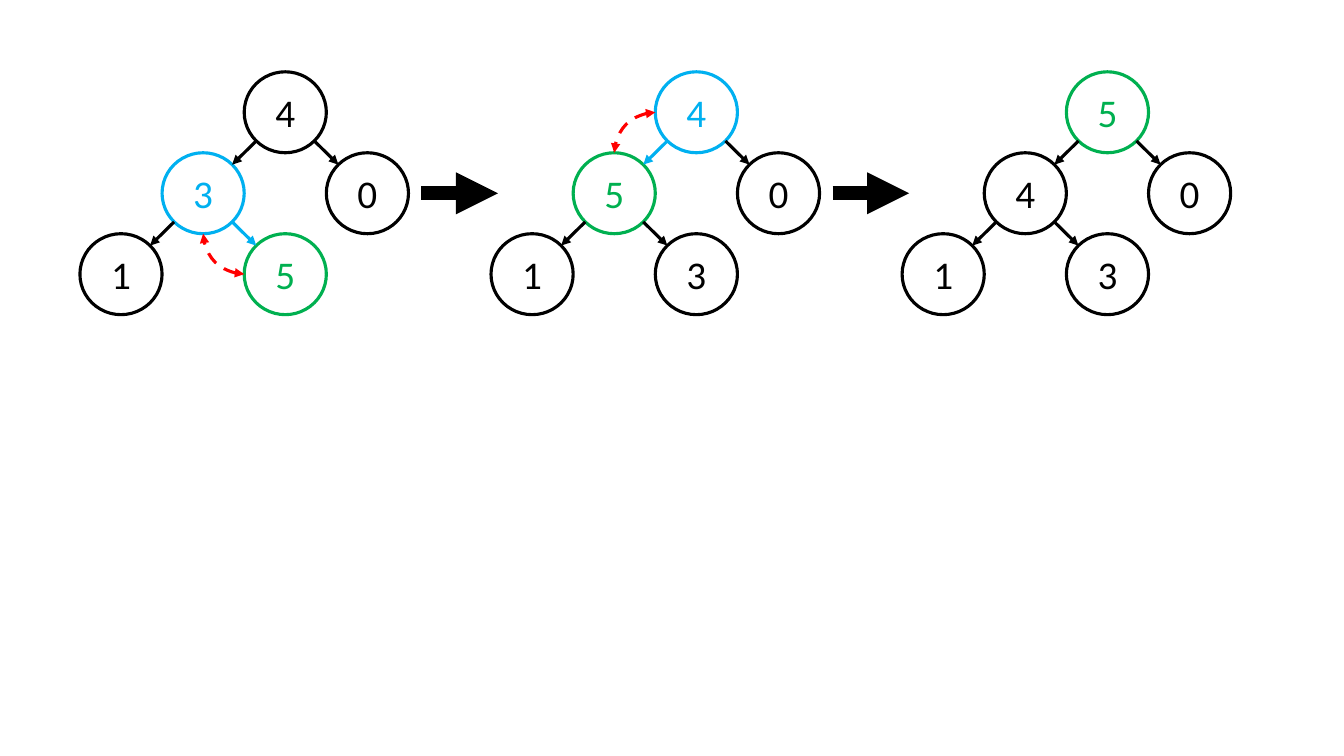
"""Draw three stages of sifting a value up a binary heap."""
from math import sqrt

from lxml import etree
from pptx import Presentation, util as u
from pptx.dml.color import RGBColor
from pptx.enum import dml, shapes, text
from pptx.oxml.ns import qn

BLACK = RGBColor(0x00, 0x00, 0x00)
BLUE = RGBColor(0x00, 0xB0, 0xF0)
GREEN = RGBColor(0x00, 0xB0, 0x50)
RED = RGBColor(0xFF, 0x00, 0x00)

WIDE, HIGH = 2.07, 2.04
LEFT, TOP, PITCH = 7.19, 2.83, 10.36
SPOTS = [(0, 0), (-1, 1), (1, 1), (-2, 2), (0, 2)]
STAGES = [
    ("43015", {1: BLUE, 4: GREEN}),
    ("45013", {0: BLUE, 1: GREEN}),
    ("54013", {0: GREEN}),
]


class Board:
    """Hold the slide and its style, and draw each kind of element."""

    def __init__(self, slide, font="Calibri", size=28, weight=2.25):
        self.shapes = slide.shapes
        self.font, self.size, self.weight = font, size, weight

    def node(self, x, y, label, tint):
        """Draw a labelled circle centred on x, y."""
        oval = self.shapes.add_shape(
            shapes.MSO_SHAPE.OVAL, u.Cm(x - WIDE / 2), u.Cm(y - HIGH / 2),
            u.Cm(WIDE), u.Cm(HIGH))
        oval.shadow.inherit = False
        oval.fill.background()
        oval.line.color.rgb = tint
        oval.line.width = u.Pt(self.weight)
        frame = oval.text_frame
        frame.text = label
        frame.vertical_anchor = text.MSO_ANCHOR.MIDDLE
        par = frame.paragraphs[0]
        par.alignment = text.PP_ALIGN.CENTER
        font = par.runs[0].font
        font.name, font.size = self.font, u.Pt(self.size)
        font.color.rgb = tint

    def arrow(self, start, end, tint=BLACK, weight=None, swap=False):
        """Draw a straight arrow, or a dashed curve with two heads."""
        kind = shapes.MSO_CONNECTOR.CURVE if swap else shapes.MSO_CONNECTOR.STRAIGHT
        link = self.shapes.add_connector(kind, *(u.Cm(v) for v in (*start, *end)))
        link.line.color.rgb = tint
        link.line.width = u.Pt(weight or self.weight)
        props = link.element.spPr
        ends = ["a:tailEnd"]
        if swap:
            link.line.dash_style = dml.MSO_LINE.DASH
            props.find(qn("a:prstGeom")).set("prst", "curvedConnector2")
            ends.insert(0, "a:headEnd")
        for tag in ends:
            etree.SubElement(props.find(qn("a:ln")), qn(tag), type="triangle")
        etree.SubElement(props, qn("a:effectLst"))

    def edge(self, upper, lower, tint):
        """Join a parent to its child along the diagonal."""
        side = 1 if lower[0] > upper[0] else -1
        dx, dy = side * WIDE / sqrt(8), HIGH / sqrt(8)
        self.arrow((upper[0] + dx, upper[1] + dy),
                   (lower[0] - dx, lower[1] - dy), tint)

    def swap(self, one, two):
        """Curve from the right node's left side to the left node."""
        near, far = sorted((one, two))
        turn = HIGH / 2 if far[1] > near[1] else -HIGH / 2
        self.arrow((far[0] - WIDE / 2, far[1]), (near[0], near[1] + turn),
                   RED, swap=True)

    def tree(self, x, labels, tints):
        """Draw a heap whose root is centred on x."""
        spots = [(x + col * WIDE, TOP + row * HIGH) for col, row in SPOTS]
        for i, (spot, label) in enumerate(zip(spots, labels)):
            self.node(*spot, label, tints.get(i, BLACK))
        for i in range(1, len(spots)):
            root = (i - 1) // 2
            hot = root in tints and i in tints
            self.edge(spots[root], spots[i], BLUE if hot else BLACK)
            if hot:
                self.swap(spots[root], spots[i])


def main():
    """Build and save the slide."""
    deck = Presentation()
    deck.slide_width, deck.slide_height = u.Cm(33.87), u.Cm(19.05)
    board = Board(deck.slides.add_slide(deck.slide_layouts[6]))
    for i, (labels, tints) in enumerate(STAGES):
        x = LEFT + i * PITCH
        board.tree(x, labels, tints)
        if i < len(STAGES) - 1:
            y = TOP + HIGH
            board.arrow((x + 3.43, y), (x + 5.36, y), weight=10)
    deck.save("out.pptx")


if __name__ == "__main__":
    main()
